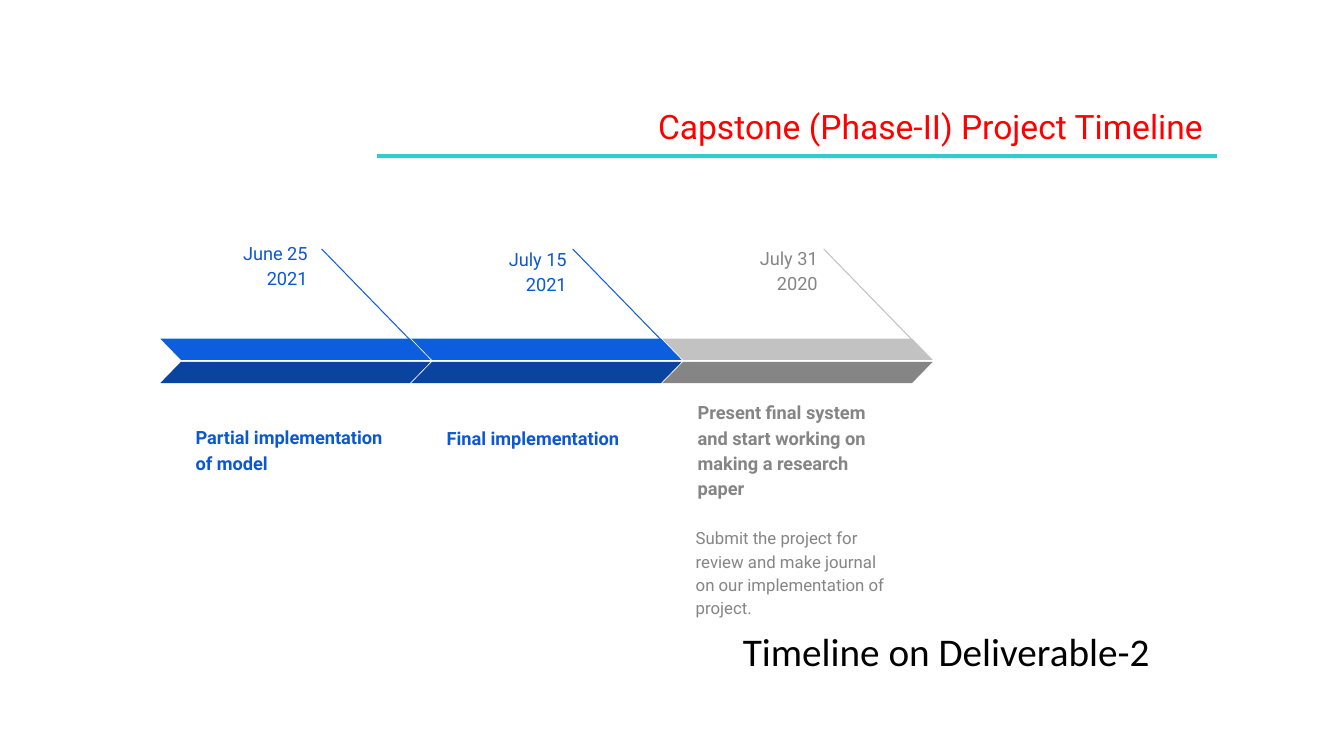
from lxml import etree
from pptx import Presentation, util as u
from pptx.dml.color import RGBColor
from pptx.enum import shapes, text
from pptx.oxml import ns

BLUE = RGBColor(0x0D, 0x5D, 0xDF)
NAVY = RGBColor(0x09, 0x44, 0xA1)
BLUE_TEXT = RGBColor(0x0C, 0x58, 0xD3)
SILVER = RGBColor(0xC2, 0xC2, 0xC2)
GREY = RGBColor(0x85, 0x85, 0x85)
RED = RGBColor(0xFF, 0x00, 0x00)
BLACK = RGBColor(0x00, 0x00, 0x00)
TEAL = RGBColor(0x33, 0xCC, 0xCC)

FIRST_COLUMN, COLUMN_PITCH = 1.59, 2.49
ARROW_WIDTH, BAND_HEIGHT = 2.68, 0.21
UPPER_ROW, LOWER_ROW = 3.36, 3.59
LINE_TOP, LINE_BOTTOM = 2.47, 3.55
LABEL_ROW = 3.93

deck = Presentation()
deck.slide_width, deck.slide_height = u.Inches(13.33), u.Inches(7.5)
page = deck.slides.add_slide(deck.slide_layouts[6])


def add_text(words, place, size, color, font="Roboto", bold=False, spacing=1.15,
             align=text.PP_ALIGN.LEFT, anchor=text.MSO_ANCHOR.TOP, insets=(0.13, 0.13)):
    frame = page.shapes.add_textbox(*map(u.Inches, place)).text_frame
    frame.word_wrap = True
    frame.vertical_anchor = anchor
    frame.margin_left = frame.margin_right = u.Inches(insets[0])
    frame.margin_top = frame.margin_bottom = u.Inches(insets[1])
    para = frame.paragraphs[0]
    para.text = words
    para.alignment = align
    para.line_spacing = spacing
    para.font.name, para.font.size, para.font.bold = font, u.Pt(size), bold
    para.font.color.rgb = color


def add_band(kind, place, color):
    band = page.shapes.add_shape(kind, *map(u.Inches, place))
    band.shadow.inherit = False
    band.fill.solid()
    band.fill.fore_color.rgb = color
    band.line.fill.background()
    return band


milestones = [
    ("June 25 2021", 2.24, 1.59, 1.04, "Partial implementation of model", 0.9, BLUE, NAVY, BLUE_TEXT),
    ("July 15 2021", 2.30, 1.67, 0.91, "Final implementation", 0.65, BLUE, NAVY, BLUE_TEXT),
    ("July 31 2020", 2.29, 1.67, 0.91,
     "Present final system and start working on making a research paper", 1.15, SILVER, GREY, GREY),
]
for column, (date, date_top, date_right, date_width, label, label_height,
             upper, lower, ink) in enumerate(milestones):
    left = FIRST_COLUMN + column * COLUMN_PITCH
    add_text(date, (left + date_right - date_width, date_top, date_width, 0.35), 13, ink,
             align=text.PP_ALIGN.RIGHT)
    add_text(label, (left + 0.22, LABEL_ROW, 2.19, label_height), 13, ink, bold=True,
             anchor=text.MSO_ANCHOR.BOTTOM)

    pointer = page.shapes.add_connector(
        shapes.MSO_CONNECTOR.STRAIGHT,
        *map(u.Inches, (left + 1.6, LINE_TOP, left + 2.65, LINE_BOTTOM)))
    pointer.line.color.rgb = upper
    pointer.line.width = u.Pt(0.75)
    etree.SubElement(pointer._element.spPr, ns.qn("a:effectLst"))

    for row, color in ((UPPER_ROW, upper), (LOWER_ROW, lower)):
        band = add_band(shapes.MSO_SHAPE.PARALLELOGRAM,
                        (left, row, ARROW_WIDTH, BAND_HEIGHT), color)
        band.adjustments[0] = 0.97
        if row == UPPER_ROW:
            band._element.spPr.xfrm.set("flipH", "1")

add_text("Submit the project for review and make journal on our implementation of project.",
         (6.77, 5.08, 2.25, 1.08), 12, GREY)
add_text("Capstone (Phase-II) Project Timeline", (2.08, 0.92, 9.95, 0.67), 24, RED, spacing=1.0,
         align=text.PP_ALIGN.RIGHT, anchor=text.MSO_ANCHOR.MIDDLE, insets=(0.1, 0.05))
add_text("Timeline on Deliverable-2", (7.27, 6.23, 4.96, 0.59), 28, BLACK, font="Calibri",
         spacing=0.9, insets=(0.1, 0.05))
add_band(shapes.MSO_SHAPE.RECTANGLE, (3.74, 1.53, 8.33, 0.04), TEAL)

deck.save("out.pptx")
